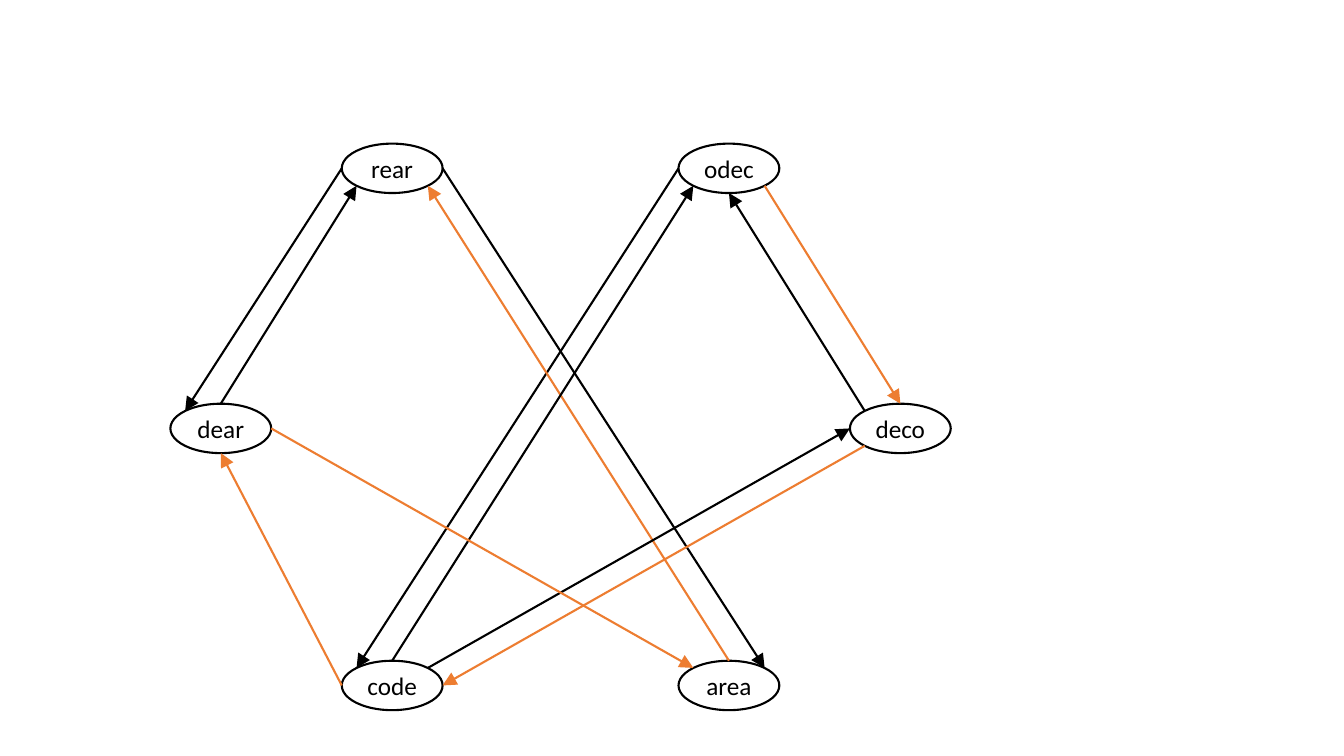
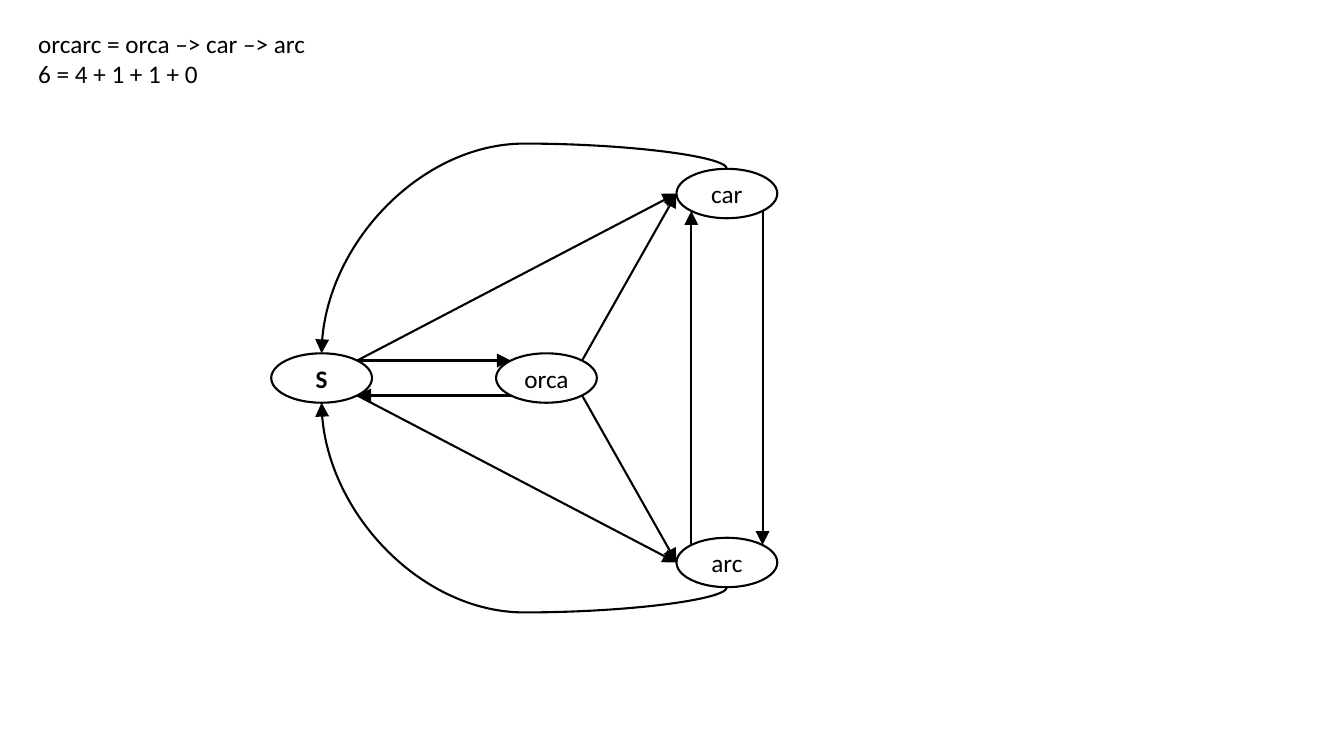
from dataclasses import dataclass
from math import cos, pi, sin
from typing import NamedTuple

from pptx import Presentation
from pptx import util as u
from pptx.dml.color import RGBColor
from pptx.enum import shapes, text
from pptx.oxml.ns import qn
from lxml import etree


@dataclass(frozen=True)
class Theme:
    font: str = "Calibri"
    size: float = 18
    line: float = 1.5
    ink: str = "000000"
    paper: str = "FFFFFF"
    accent: str = "ED7D31"
    wide: float = 1.0
    high: float = 0.49
    bulge: float = 0.25


class Node(NamedTuple):
    word: str
    col: int
    row: int
    bold: bool = False


class Edge(NamedTuple):
    start: str
    out: str
    end: str
    into: str
    color: str


class Graph(NamedTuple):
    cols: tuple[float, ...]
    rows: tuple[float, ...]
    nodes: list[Node]
    edges: list[Edge]
    arcs: list[Edge]
    notes: list[str]


T = Theme()
INK, HOT = T.ink, T.accent
# An ellipse numbers its sites from the top, counter-clockwise.
PORTS = ("N", "NW", "W", "SW", "S", "SE", "E", "NE")

WORDS = Graph(
    cols=(2.19, 3.89, 7.23, 8.93),
    rows=(1.67, 4.25, 6.8),
    nodes=[Node("rear", 1, 0), Node("odec", 2, 0), Node("deco", 3, 1),
           Node("area", 2, 2), Node("code", 1, 2), Node("dear", 0, 1)],
    edges=[
        Edge("rear", "E", "area", "NE", INK),
        Edge("rear", "W", "dear", "NW", INK),
        Edge("odec", "SE", "deco", "N", HOT),
        Edge("odec", "W", "code", "NW", INK),
        Edge("deco", "NW", "odec", "S", INK),
        Edge("deco", "SW", "code", "E", HOT),
        Edge("area", "N", "rear", "SE", HOT),
        Edge("code", "NE", "deco", "W", INK),
        Edge("code", "N", "odec", "SW", INK),
        Edge("code", "W", "dear", "S", HOT),
        Edge("dear", "N", "rear", "SW", INK),
        Edge("dear", "E", "area", "NW", HOT),
    ],
    arcs=[],
    notes=[],
)

CHAIN = Graph(
    cols=(3.19, 5.42, 7.21),
    rows=(1.92, 3.75, 5.58),
    nodes=[Node("car", 2, 0), Node("arc", 2, 2),
           Node("orca", 1, 1), Node("S", 0, 1, True)],
    edges=[
        Edge("car", "SE", "arc", "NE", INK),
        Edge("arc", "NW", "car", "SW", INK),
        Edge("orca", "NE", "car", "W", INK),
        Edge("orca", "SE", "arc", "W", INK),
        Edge("S", "NE", "orca", "NW", INK),
        Edge("S", "NE", "car", "W", INK),
        Edge("S", "SE", "arc", "W", INK),
        Edge("orca", "SW", "S", "SE", INK),
    ],
    arcs=[Edge("arc", "S", "S", "S", INK), Edge("car", "N", "S", "N", INK)],
    notes=["orcarc = orca –> car –> arc", "6 = 4 + 1 + 1 + 0"],
)


def add_run(par, words: str, bold: bool = False) -> None:
    run = par.add_run()
    run.text = words
    run.font.name = T.font
    run.font.size = u.Pt(T.size)
    run.font.bold = bold
    run.font.color.rgb = RGBColor.from_string(T.ink)


def add_node(slide, node: Node, graph: Graph):
    left = graph.cols[node.col] - T.wide / 2
    top = graph.rows[node.row] - T.high / 2
    oval = slide.shapes.add_shape(
        shapes.MSO_SHAPE.OVAL, u.Inches(left), u.Inches(top),
        u.Inches(T.wide), u.Inches(T.high))
    oval.shadow.inherit = False
    oval.fill.solid()
    oval.fill.fore_color.rgb = RGBColor.from_string(T.paper)
    oval.line.color.rgb = RGBColor.from_string(T.ink)
    oval.line.width = u.Pt(T.line)
    frame = oval.text_frame
    frame.word_wrap = False
    frame.vertical_anchor = text.MSO_ANCHOR.MIDDLE
    frame.margin_left = frame.margin_right = 0
    frame.margin_top = frame.margin_bottom = 0
    par = frame.paragraphs[0]
    par.alignment = text.PP_ALIGN.CENTER
    add_run(par, node.word, node.bold)
    return oval


def site(oval, port: str) -> tuple[int, int]:
    """Return the point of a compass port on the oval's rim."""
    turn = PORTS.index(port) * pi / 4
    return (round(oval.left + oval.width / 2 * (1 - sin(turn))),
            round(oval.top + oval.height / 2 * (1 - cos(turn))))


def style(link, color: str) -> None:
    link.line.color.rgb = RGBColor.from_string(color)
    link.line.width = u.Pt(T.line)
    props = link._element.spPr
    etree.SubElement(props.find(qn("a:ln")), qn("a:tailEnd"),
                     type="triangle", w="lg", len="lg")
    etree.SubElement(props, qn("a:effectLst"))


def add_edge(slide, edge: Edge, ovals: dict) -> None:
    start, end = ovals[edge.start], ovals[edge.end]
    link = slide.shapes.add_connector(
        shapes.MSO_CONNECTOR.STRAIGHT,
        *site(start, edge.out), *site(end, edge.into))
    style(link, edge.color)
    # begin_connect only knows the four sides of a rectangle.
    joins = link._element.nvCxnSpPr.cNvCxnSpPr
    for join, oval, port in (
            (joins.get_or_add_stCxn(), start, edge.out),
            (joins.get_or_add_endCxn(), end, edge.into)):
        join.id, join.idx = oval.shape_id, PORTS.index(port)


def add_arc(slide, edge: Edge, ovals: dict) -> None:
    """Curve leftwards out of a top or bottom port, by a quarter-turned box."""
    x1, y1 = site(ovals[edge.start], edge.out)
    x2, y2 = site(ovals[edge.end], edge.into)
    side = 1 if edge.out == "S" else -1
    midx, midy = (x1 + x2) // 2, (y1 + y2) // 2
    dx, dy = abs(y1 - y2) // 2, side * abs(x1 - x2) // 2
    link = slide.shapes.add_connector(
        shapes.MSO_CONNECTOR.CURVE,
        midx + dx, midy - dy, midx - dx, midy + dy)
    style(link, edge.color)
    props = link._element.spPr
    props.find(qn("a:xfrm")).set("rot", str(side * 90 % 360 * 60000))
    bend = -round(u.Inches(T.bulge) / abs(y1 - y2) * 100000)
    geom = props.find(qn("a:prstGeom"))
    guides = geom.find(qn("a:avLst"))
    if guides is None:
        guides = etree.SubElement(geom, qn("a:avLst"))
    etree.SubElement(guides, qn("a:gd"), name="adj1", fmla=f"val {bend}")


def add_notes(slide, lines: list[str]) -> None:
    box = slide.shapes.add_textbox(
        u.Inches(0.28), u.Inches(0.23), u.Inches(2.88), u.Inches(0.71))
    frame = box.text_frame
    frame.word_wrap = False
    for i, line in enumerate(lines):
        add_run(frame.add_paragraph() if i else frame.paragraphs[0], line)


def draw(deck, graph: Graph) -> None:
    slide = deck.slides.add_slide(deck.slide_layouts[6])
    if graph.notes:
        add_notes(slide, graph.notes)
    ovals = {n.word: add_node(slide, n, graph) for n in graph.nodes}
    for edge in graph.edges:
        add_edge(slide, edge, ovals)
    for arc in graph.arcs:
        add_arc(slide, arc, ovals)


def main() -> None:
    deck = Presentation()
    deck.slide_width, deck.slide_height = u.Inches(13.33), u.Inches(7.5)
    for graph in (WORDS, CHAIN):
        draw(deck, graph)
    deck.save("out.pptx")


if __name__ == "__main__":
    main()
